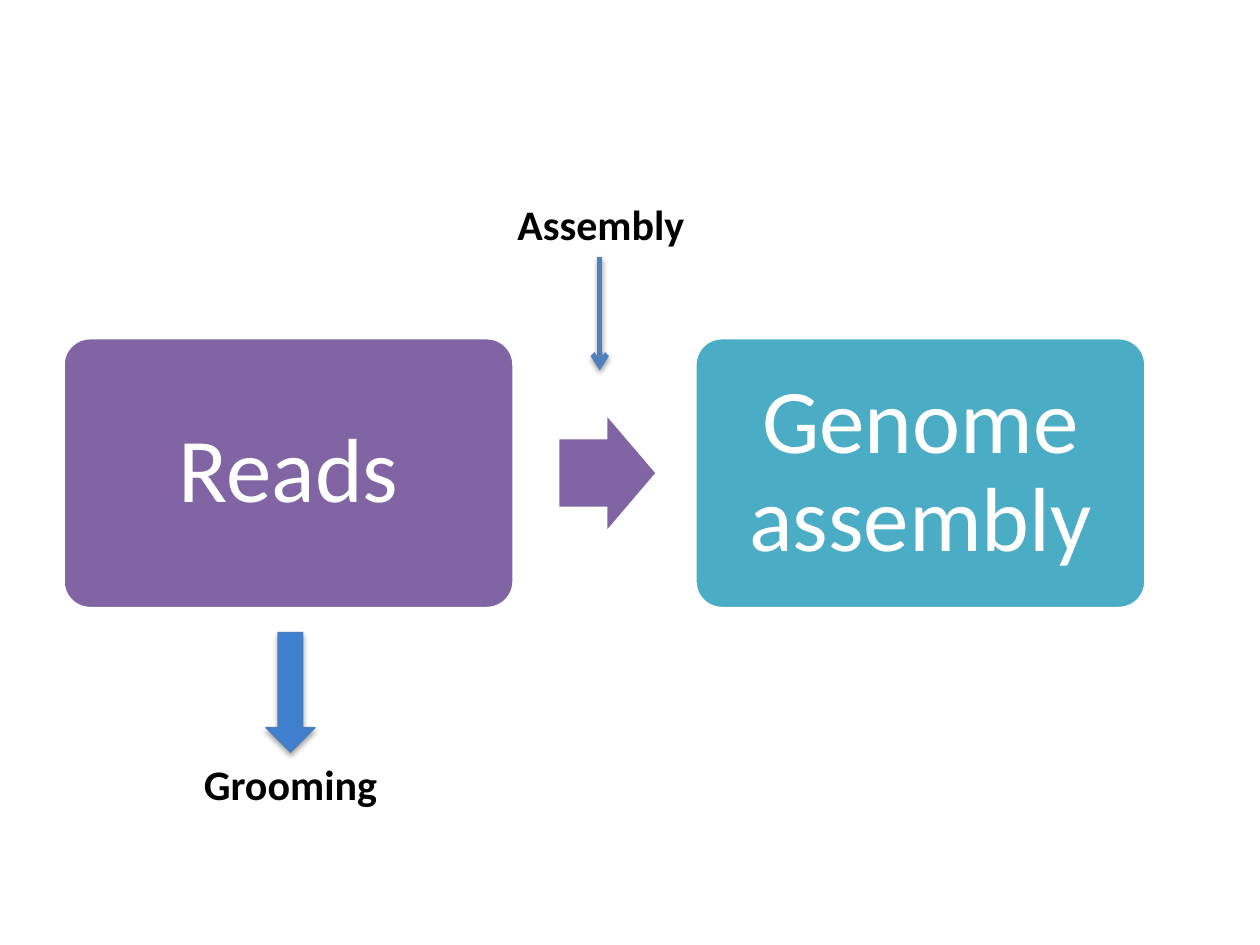
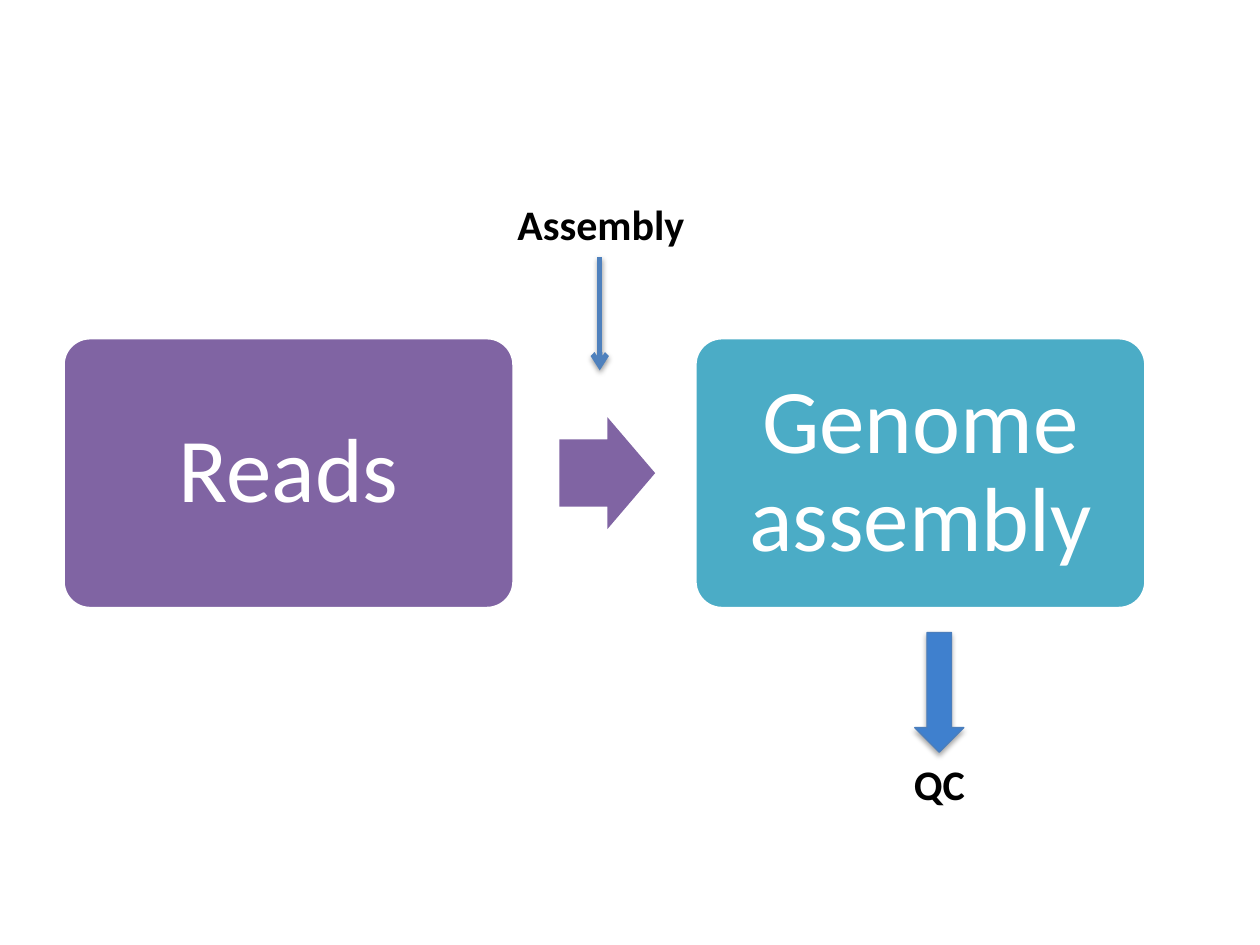
from dataclasses import dataclass

from lxml import etree
from pptx import Presentation
from pptx.dml.color import RGBColor
from pptx.enum.shapes import MSO_CONNECTOR, MSO_SHAPE
from pptx.enum.text import MSO_ANCHOR, PP_ALIGN
from pptx.oxml.ns import qn
from pptx.util import Inches, Pt

# Shared look; the grid has 100 columns and 75 rows on a 10 x 7.5 inch slide
CELL = Inches(0.1)
COLUMNS, ROWS = 100, 75
FONT = "Calibri"
PURPLE, TEAL, WHITE, BLACK = "8064A3", "4BACC6", "FFFFFF", "000000"
ARROW_BLUE, ARROW_EDGE, POINTER_BLUE = "3F80CE", "4B7EBC", "4F81BD"

# Steps of the workflow and the row they stand in
STEPS = [("Reads", PURPLE), ("Genome assembly", TEAL)]
STEP_WIDTH, STEP_HEIGHT, STEP_PITCH = 35.8, 21.5, 50.15
LABEL_HEIGHT = 5


@dataclass
class Box:
    left: float
    top: float
    width: float
    height: float

    def inner(self, dx, dy, width, height):
        return Box(self.left + dx, self.top + dy, width, height)

    def emu(self):
        return [round(n * CELL) for n in (self.left, self.top, self.width, self.height)]


WORKFLOW = Box(5, 26.8, STEP_PITCH + STEP_WIDTH, STEP_HEIGHT)


def color(hex_value):
    return RGBColor.from_string(hex_value)


def write(shape, text, size=24, ink=BLACK, bold=False, spacing=None, inset=None):
    frame = shape.text_frame
    frame.word_wrap = True
    if inset is not None:
        frame.margin_left = frame.margin_right = Inches(inset)
        frame.margin_top = frame.margin_bottom = Inches(inset)
        frame.vertical_anchor = MSO_ANCHOR.MIDDLE
    paragraph = frame.paragraphs[0]
    paragraph.alignment = PP_ALIGN.CENTER
    paragraph.line_spacing = spacing
    run = paragraph.add_run()
    run.text = text
    run.font.name, run.font.size, run.font.bold = FONT, Pt(size), bold
    run.font.color.rgb = color(ink)


def add_block(slide, kind, box, fill, edge=None, edge_width=0, adjust=()):
    block = slide.shapes.add_shape(kind, *box.emu())
    block.shadow.inherit = False
    for position, value in enumerate(adjust):
        block.adjustments[position] = value
    block.fill.solid()
    block.fill.fore_color.rgb = color(fill)
    if edge:
        block.line.color.rgb = color(edge)
        block.line.width = Pt(edge_width)
    else:
        block.line.fill.background()
    return block


def add_label(slide, box, text):
    write(slide.shapes.add_textbox(*box.emu()), text, bold=True)


def cast_shadow(shape, distance, opacity):
    properties = shape._element.spPr
    effects = properties.find(qn("a:effectLst"))
    if effects is None:
        effects = etree.SubElement(properties, qn("a:effectLst"))
    shadow = etree.SubElement(effects, qn("a:outerShdw"), blurRad=str(Pt(3.1)),
                              dist=str(Pt(distance)), dir="5400000", rotWithShape="0")
    ink = etree.SubElement(shadow, qn("a:srgbClr"), val=BLACK)
    etree.SubElement(ink, qn("a:alpha"), val=str(opacity * 1000))


def step_box(box, index):
    return box.inner(index * STEP_PITCH, 0, STEP_WIDTH, STEP_HEIGHT)


def draw_workflow(slide, box):
    # Steps, with the arrow that leads from one to the next
    for index, (step, fill) in enumerate(STEPS):
        block = add_block(slide, MSO_SHAPE.ROUNDED_RECTANGLE, step_box(box, index),
                          fill, WHITE, 2, adjust=[0.1])
        write(block, step, size=52, ink=WHITE, spacing=0.9, inset=0.22)
    add_block(slide, MSO_SHAPE.RIGHT_ARROW, box.inner(39.4, 6.3, 7.6, 8.9),
              PURPLE, adjust=[0.6, 0.5])


def draw_pointer(slide, box, text):
    # Label above the arrow between the steps, with a thin pointer
    add_label(slide, box.inner(34.5, -11.5, 16.4, LABEL_HEIGHT), text)
    x, start, length, _ = box.inner(42.6, -6.4, 9, 0).emu()
    pointer = slide.shapes.add_connector(MSO_CONNECTOR.STRAIGHT, x, start, x, start + length)
    pointer.line.color.rgb = color(POINTER_BLUE)
    pointer.line.width = Pt(3)
    etree.SubElement(pointer.line._get_or_add_ln(), qn("a:tailEnd"), type="arrow")
    cast_shadow(pointer, 1.6, 38)


def draw_task(slide, step, text, shift):
    # Task below a step; shift moves its axis away from the step's middle
    axis = step.width / 2 + shift
    width, length, label_width, gap = 3.9, 9.5, 18.8, 1.9
    top = step.height + gap
    add_label(slide, step.inner(axis - label_width / 2, top + length,
                                label_width, LABEL_HEIGHT), text)
    arrow = add_block(slide, MSO_SHAPE.DOWN_ARROW,
                      step.inner(axis - width / 2, top, width, length),
                      ARROW_BLUE, ARROW_EDGE, 0.75)
    cast_shadow(arrow, 1.8, 35)


def build_slide(deck, step_index, task, shift):
    slide = deck.slides.add_slide(deck.slide_layouts[6])
    draw_workflow(slide, WORKFLOW)
    draw_pointer(slide, WORKFLOW, "Assembly")
    draw_task(slide, step_box(WORKFLOW, step_index), task, shift)


def main():
    deck = Presentation()
    deck.slide_width, deck.slide_height = COLUMNS * CELL, ROWS * CELL
    build_slide(deck, 0, "Grooming", 0.15)
    build_slide(deck, 1, "QC", 1.5)
    deck.save("out.pptx")


if __name__ == "__main__":
    main()
